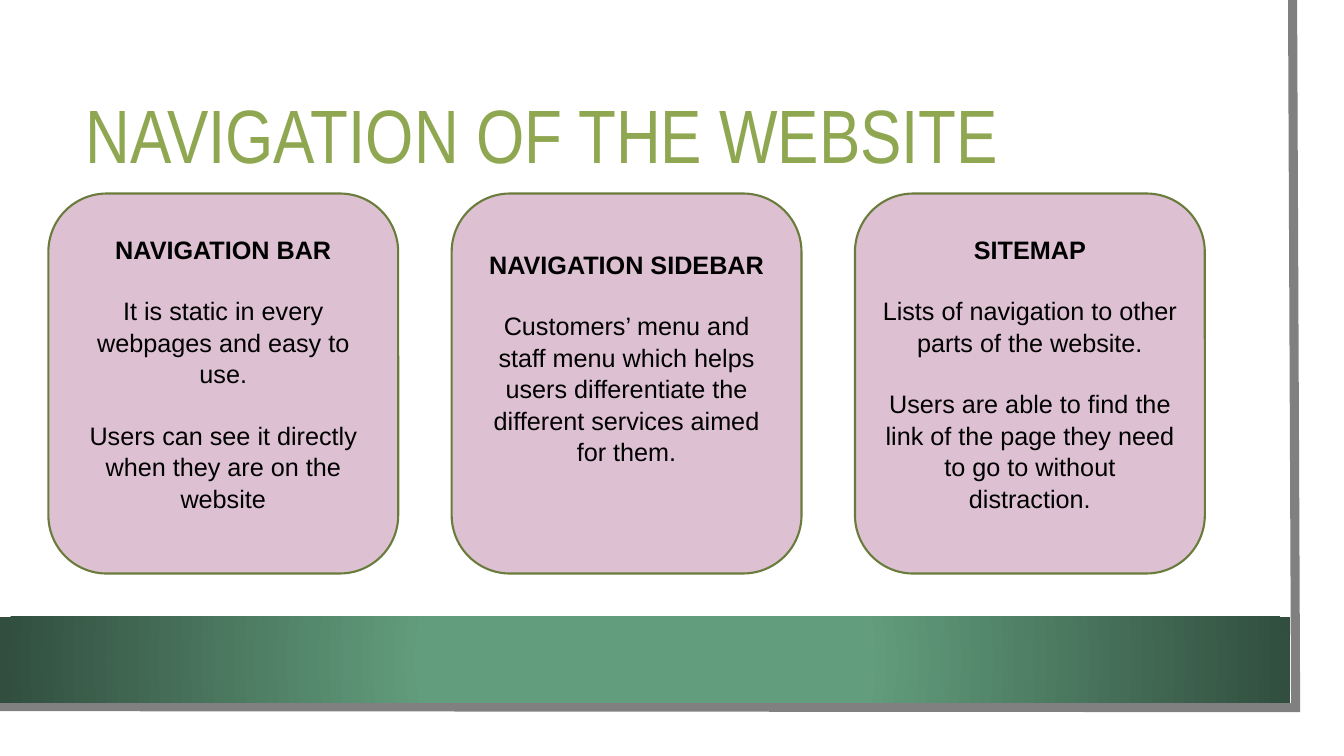
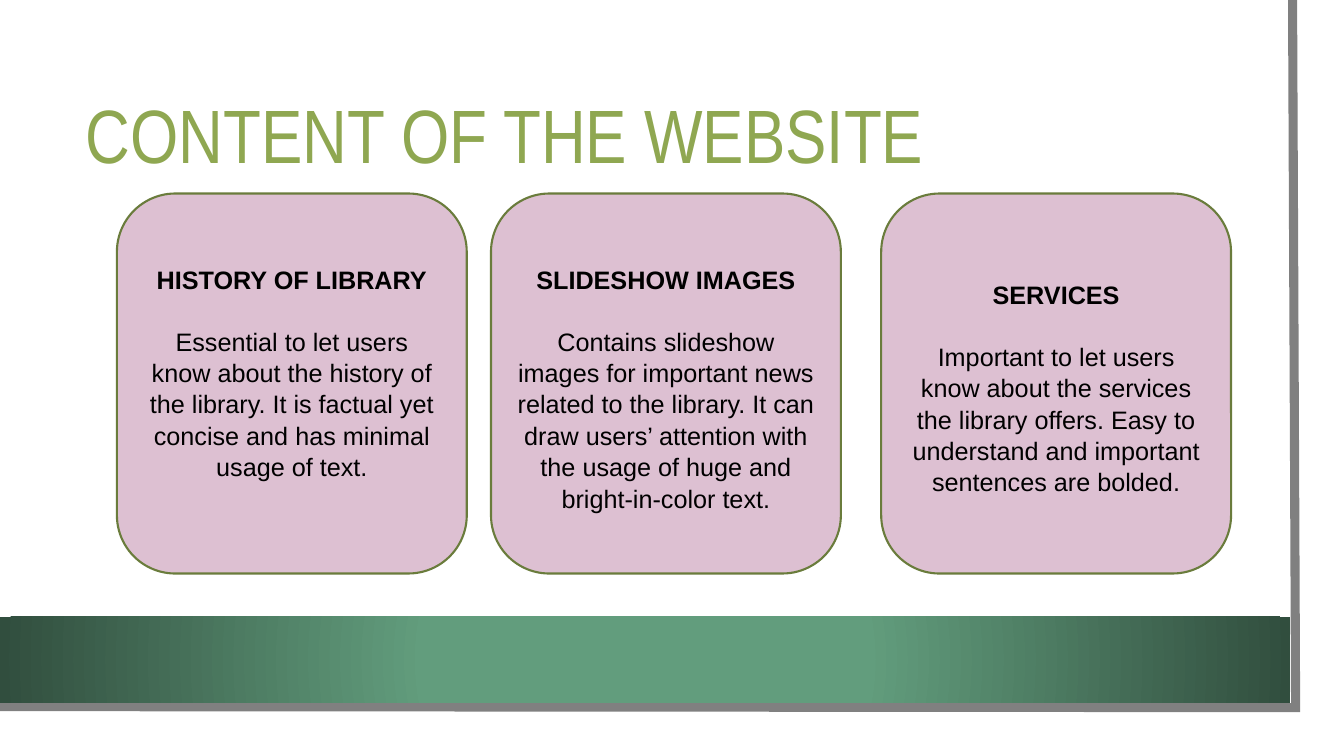
from lxml import etree
from pptx import Presentation
from pptx.dml.color import RGBColor
from pptx.enum.shapes import MSO_SHAPE
from pptx.enum.text import MSO_ANCHOR, MSO_AUTO_SIZE, PP_ALIGN
from pptx.oxml.ns import qn
from pptx.util import Inches, Pt

RECTANGLE, ROUNDED = MSO_SHAPE.RECTANGLE, MSO_SHAPE.ROUNDED_RECTANGLE
TOP, MIDDLE = MSO_ANCHOR.TOP, MSO_ANCHOR.MIDDLE
LEFT, CENTER = PP_ALIGN.LEFT, PP_ALIGN.CENTER
NO_AUTOFIT = MSO_AUTO_SIZE.NONE

TITLE_GREEN, CARD_PINK, CARD_BORDER = "8FA751", "DDC0D2", "6A7C3C"
BAND_LIGHT, BAND_DARK = "629D7D", "314E3E"
FRAME_GRAY, BLACK = "808080", "000000"

CARD_WIDTH, CARD_HEIGHT, CARD_TOP = 3.47, 3.77, 1.92
FIRST_INSET, HALF_LINE = 0.22, 0.15
LINE_GAP = 21.6

# Each card: left edge, half lines of extra space above, heading, paragraphs
SLIDES = [
    ("NAVIGATION OF THE WEBSITE", [
        (0.48, 0, "NAVIGATION BAR",
         ["It is static in every webpages and easy to use.",
          "Users can see it directly when they are on the website"]),
        (4.48, 1, "NAVIGATION SIDEBAR",
         ["Customers’ menu and staff menu which helps users differentiate "
          "the different services aimed for them."]),
        (8.48, 0, "SITEMAP",
         ["Lists of navigation to other parts of the website.",
          "Users are able to find the link of the page they need to go to "
          "without distraction."]),
    ]),
    ("CONTENT OF THE WEBSITE", [
        (1.16, 2, "HISTORY OF LIBRARY",
         ["Essential to let users know about the history of the library. "
          "It is factual yet concise and has minimal usage of text."]),
        (4.87, 2, "SLIDESHOW IMAGES",
         ["Contains slideshow images for important news related to the "
          "library. It can draw users’ attention with the usage of huge and "
          "bright-in-color text."]),
        (8.74, 3, "SERVICES",
         ["Important to let users know about the services the library "
          "offers. Easy to understand and important sentences are bolded."]),
    ]),
]


def rgb(color):
    return RGBColor.from_string(color)


def write(paragraph, text, *, size=18, font="Arial", color=BLACK, bold=False,
          align=CENTER, spacing=1.04, before=0):
    paragraph.alignment = align
    paragraph.line_spacing = spacing
    paragraph.space_before = Pt(before)
    run = paragraph.add_run()
    run.text = text
    run.font.name = font
    run.font.size = Pt(size)
    run.font.bold = bold
    run.font.color.rgb = rgb(color)


def add_frame(shapes):
    """Draw the gray edge along the right and bottom of the page."""
    builder = shapes.build_freeform(Inches(12.82), 0)
    corners = [(12.85, 7.02), (-0.03, 7.01)]
    builder.add_line_segments([(Inches(x), Inches(y)) for x, y in corners],
                              close=False)
    frame = builder.convert_to_shape()
    frame.shadow.inherit = False
    frame.fill.background()
    frame.line.color.rgb = rgb(FRAME_GRAY)
    frame.line.width = Pt(6.5)
    outline = frame.element.spPr.find(qn("a:ln"))
    etree.SubElement(outline, qn("a:miter"), lim="800000")
    return frame


def add_band(shapes):
    """Draw the bottom band with its gradient spreading from the centre."""
    band = shapes.add_shape(RECTANGLE, 0, Inches(6.12), Inches(12.8), Inches(0.85))
    band.shadow.inherit = False
    band.line.fill.background()
    band.fill.gradient()
    stops = [(0.34, BAND_LIGHT), (1, BAND_DARK)]
    for stop, (position, color) in zip(band.fill.gradient_stops, stops):
        stop.position = position
        stop.color.rgb = rgb(color)
    gradient = band.element.spPr.find(qn("a:gradFill"))
    gradient.remove(gradient.find(qn("a:lin")))
    spread = etree.SubElement(gradient, qn("a:path"), {"path": "circle"})
    etree.SubElement(spread, qn("a:fillToRect"),
                     {side: "50000" for side in "ltrb"})
    return band


def move_to_layout(layout, decorations):
    """Let every slide of the layout show the decorations."""
    for decoration in decorations:
        layout.shapes.element.append(decoration.element)


def set_title(slide, text):
    title = slide.shapes.title
    title.left, title.top = Inches(0.75), Inches(0.75)
    title.width, title.height = Inches(11.37), Inches(1.26)
    frame = title.text_frame
    frame.auto_size = NO_AUTOFIT
    frame.vertical_anchor = MIDDLE
    write(frame.paragraphs[0], text, size=54, font="Arial Narrow",
          color=TITLE_GREEN, align=LEFT, spacing=0.9)


def add_card(slide, left, half_lines, heading, paragraphs):
    card = slide.shapes.add_shape(ROUNDED, Inches(left), Inches(CARD_TOP),
                                  Inches(CARD_WIDTH), Inches(CARD_HEIGHT))
    card.shadow.inherit = False
    card.fill.solid()
    card.fill.fore_color.rgb = rgb(CARD_PINK)
    card.line.color.rgb = rgb(CARD_BORDER)
    card.line.width = Pt(1.5)
    frame = card.text_frame
    frame.word_wrap = True
    frame.vertical_anchor = TOP
    frame.margin_left = frame.margin_right = Inches(0.09)
    frame.margin_top = Inches(FIRST_INSET + half_lines * HALF_LINE)
    write(frame.paragraphs[0], heading, bold=True)
    for text in paragraphs:
        write(frame.add_paragraph(), text, before=LINE_GAP)


def main():
    deck = Presentation()
    deck.slide_width, deck.slide_height = Inches(13.33), Inches(7.5)
    layout = deck.slide_layouts.get_by_name("Title Only")
    for number, (title, cards) in enumerate(SLIDES):
        slide = deck.slides.add_slide(layout)
        if number == 0:
            move_to_layout(layout, [add_frame(slide.shapes), add_band(slide.shapes)])
        set_title(slide, title)
        for card in cards:
            add_card(slide, *card)
    deck.save("out.pptx")


if __name__ == "__main__":
    main()
